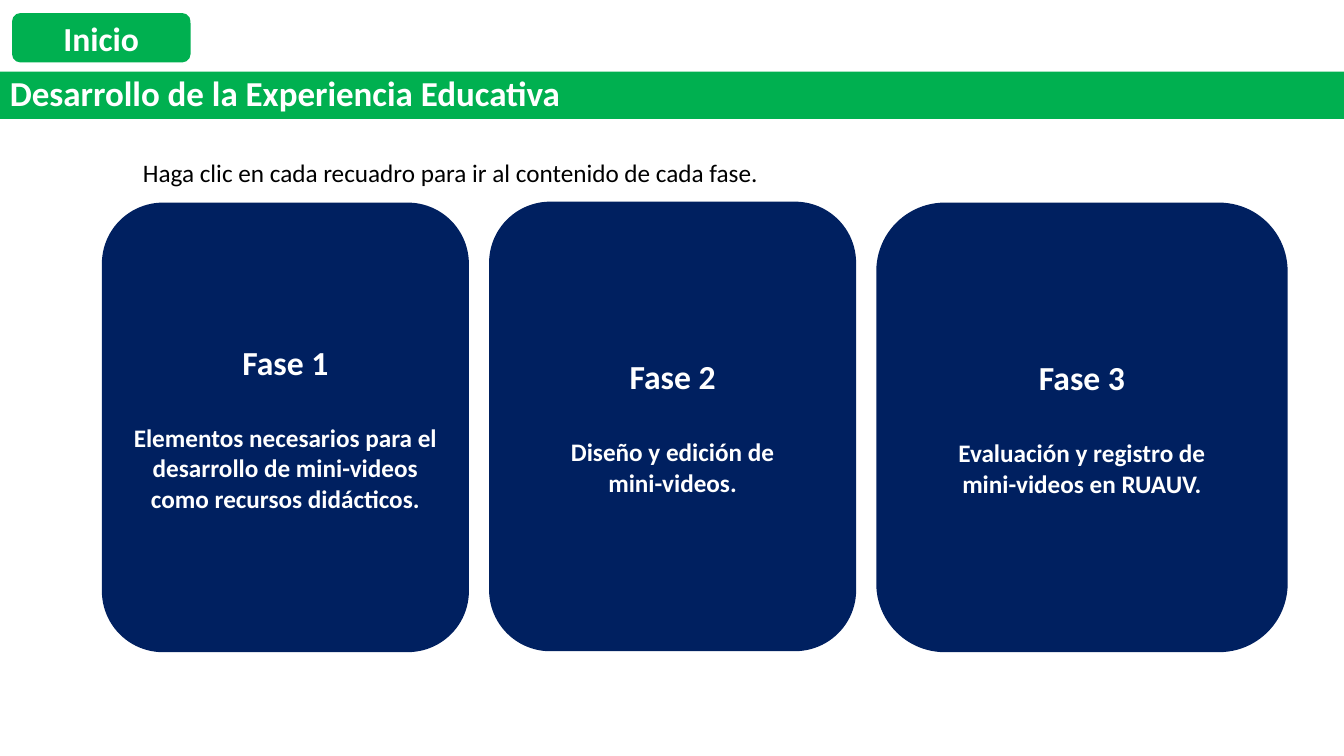
from dataclasses import dataclass

from pptx import Presentation
from pptx.dml.color import RGBColor
from pptx.enum.shapes import MSO_SHAPE
from pptx.enum.text import MSO_ANCHOR, PP_ALIGN
from pptx.util import Inches, Pt

ROUND, RECT = MSO_SHAPE.ROUNDED_RECTANGLE, MSO_SHAPE.RECTANGLE
MIDDLE, TOP = MSO_ANCHOR.MIDDLE, MSO_ANCHOR.TOP
LEFT, CENTER = PP_ALIGN.LEFT, PP_ALIGN.CENTER


@dataclass(frozen=True)
class Theme:
    font: str = "Calibri"
    green: str = "00B050"
    navy: str = "002060"
    white: str = "FFFFFF"
    black: str = "000000"
    title: int = 25
    head: int = 24
    body: int = 18
    gap: int = 29


class Board:
    def __init__(self, deck, theme):
        self.deck = deck
        self.theme = theme
        self.slide = deck.slides.add_slide(deck.slide_layouts[6])

    def place(self, left, top, width, height):
        wide, high = self.deck.slide_width, self.deck.slide_height
        return (int(left * wide / 100), int(top * high / 100),
                int(width * wide / 100), int(height * high / 100))

    def line(self, frame, text, size, color, bold=True, align=CENTER, first=False):
        para = frame.paragraphs[0] if first else frame.add_paragraph()
        para.alignment = align
        run = para.add_run()
        run.text = text
        run.font.name = self.theme.font
        run.font.size = Pt(size)
        run.font.bold = bold
        run.font.color.rgb = RGBColor.from_string(color)
        return para

    def block(self, kind, area, fill):
        shape = self.slide.shapes.add_shape(kind, *self.place(*area))
        shape.shadow.inherit = False
        shape.fill.solid()
        shape.fill.fore_color.rgb = RGBColor.from_string(fill)
        shape.line.fill.background()
        frame = shape.text_frame
        frame.word_wrap = True
        frame.vertical_anchor = MIDDLE
        return frame

    def button(self, area, text):
        frame = self.block(ROUND, area, self.theme.green)
        self.line(frame, text, self.theme.head, self.theme.white, first=True)

    def banner(self, area, text):
        frame = self.block(RECT, area, self.theme.green)
        para = self.line(frame, text, self.theme.title, self.theme.white,
                         align=LEFT, first=True)
        para.line_spacing = 0.9

    def card(self, area, head, lines):
        theme = self.theme
        frame = self.block(ROUND, area, theme.navy)
        self.line(frame, head, theme.head, theme.white, first=True)
        paras = [self.line(frame, text, theme.body, theme.white) for text in lines]
        paras[0].space_before = Pt(theme.gap)

    def note(self, area, text):
        frame = self.slide.shapes.add_textbox(*self.place(*area)).text_frame
        frame.word_wrap = True
        frame.vertical_anchor = TOP
        self.line(frame, text, self.theme.body, self.theme.black,
                  bold=False, align=LEFT, first=True)


def main():
    deck = Presentation()
    deck.slide_width, deck.slide_height = Inches(13.33), Inches(7.5)
    board = Board(deck, Theme())

    board.button((0.9, 1.73, 13.28, 6.53), "Inicio")

    phases = [
        (26.8, 27.31, ["Elementos necesarios para el desarrollo de mini-videos "
                       "como recursos didácticos."]),
        (26.67, 27.31, ["Diseño y edición de", "mini-videos."]),
        (26.8, 30.61, ["Evaluación y registro de", "mini-videos en RUAUV."]),
    ]
    left, gap, high = 7.58, 1.5, 59.47
    for index, (top, width, lines) in enumerate(phases, 1):
        board.card((left, top, width, high), f"Fase {index}", lines)
        left += width + gap

    board.note((9.9, 20.13, 61.44, 5.33),
               "Haga clic en cada recuadro para ir al contenido de cada fase.")
    board.banner((0, 9.47, 100, 6.27), "Desarrollo de la Experiencia Educativa")

    deck.save("out.pptx")


if __name__ == "__main__":
    main()
